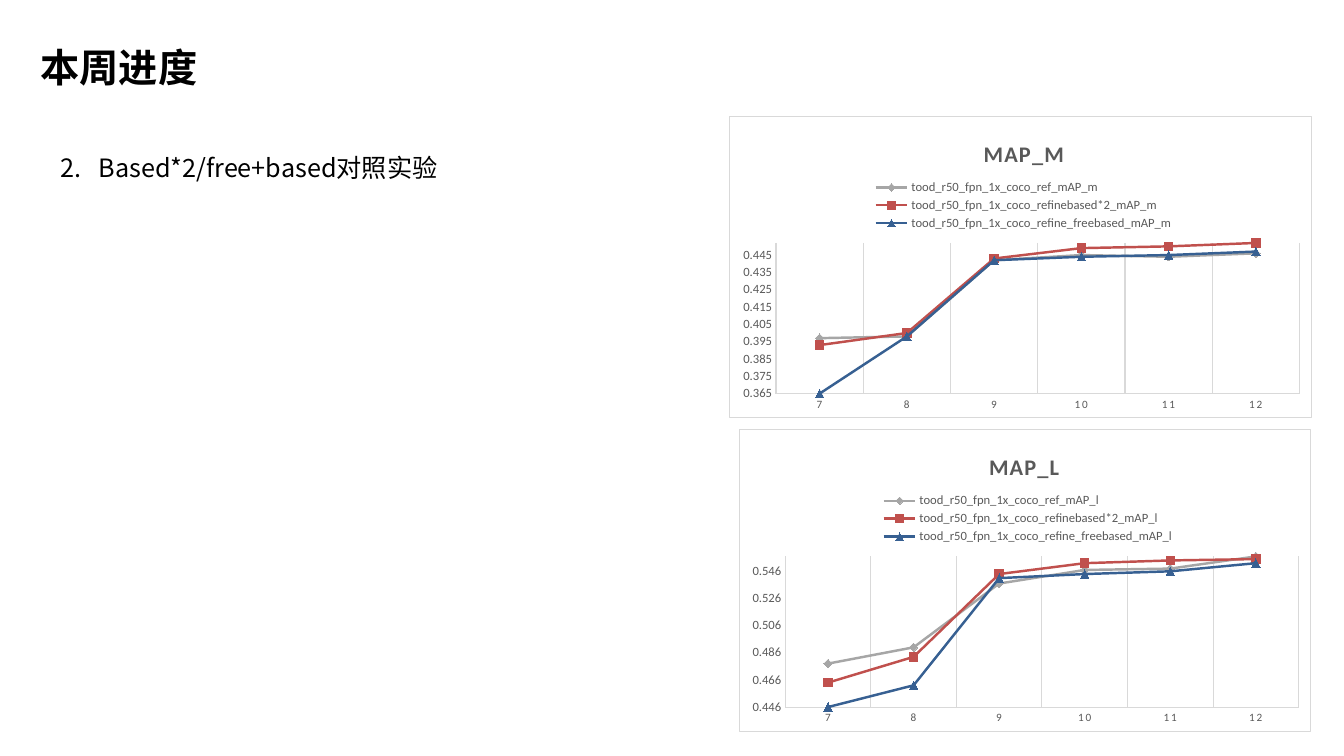
from lxml.etree import SubElement
from pptx import Presentation
from pptx.chart.data import CategoryChartData
from pptx.dml.color import RGBColor
from pptx.enum.chart import XL_CHART_TYPE, XL_LEGEND_POSITION, XL_MARKER_STYLE, XL_TICK_MARK
from pptx.enum.text import MSO_ANCHOR, MSO_AUTO_SIZE, PP_ALIGN
from pptx.oxml import parse_xml
from pptx.oxml.ns import nsdecls, qn
from pptx.util import Inches, Pt

COLORS = {"black": "000000", "label": "595959", "rule": "D9D9D9", "paper": "FFFFFF",
          "gray": "A6A6A6", "red": "C0504D", "blue": "376092"}
TEXT_FONT, CHART_FONT = "Noto Sans CJK SC", "Calibri"

HEADING = "本周进度"
EXPERIMENT = "Based*2/free+based对照实验"
EPOCHS = ["7", "8", "9", "10", "11", "12"]
MODELS = [("ref", "gray", XL_MARKER_STYLE.DIAMOND),
          ("refinebased*2", "red", XL_MARKER_STYLE.SQUARE),
          ("refine_freebased", "blue", XL_MARKER_STYLE.TRIANGLE)]
CHARTS = [
    {"title": "MAP_M", "metric": "mAP_m", "box": (7.23, 1.15, 5.78, 3),
     "scale": (0.365, 0.452, 0.01),
     "values": [(0.397, 0.398, 0.442, 0.445, 0.444, 0.446),
                (0.393, 0.4, 0.443, 0.449, 0.45, 0.452),
                (0.365, 0.398, 0.442, 0.444, 0.445, 0.447)]},
    {"title": "MAP_L", "metric": "mAP_l", "box": (7.33, 4.26, 5.67, 3),
     "scale": (0.446, 0.557, 0.02),
     "values": [(0.478, 0.49, 0.537, 0.547, 0.548, 0.557),
                (0.464, 0.483, 0.544, 0.552, 0.554, 0.555),
                (0.446, 0.462, 0.541, 0.544, 0.546, 0.552)]},
]
# Shares of the chart's width and height, the same in both charts
TITLE_SPOT = {"x": 0.43, "y": 0.06}
LEGEND_SPOT = {"x": 0.24, "y": 0.2, "w": 0.53, "h": 0.19}
PLOT_SPOT = {"x": 0.08, "y": 0.42, "w": 0.9, "h": 0.5}


def color(name):
    """Return a named colour."""
    return RGBColor.from_string(COLORS[name])


def style_font(font, size, name="label", face=CHART_FONT, bold=False):
    """Set size, colour, face and weight of a font."""
    font.size, font.name, font.bold = Pt(size), face, bold
    font.color.rgb = color(name)


def style_line(line, name, width):
    """Give a line a colour and a width in points."""
    line.color.rgb = color(name)
    line.width = Pt(width)


def fill_text(shape, box, text, size, bold=False):
    """Place a shape and set its single paragraph."""
    shape.left, shape.top, shape.width, shape.height = map(Inches, box)
    frame = shape.text_frame
    frame.text = text
    frame.word_wrap = True
    frame.auto_size = MSO_AUTO_SIZE.SHAPE_TO_FIT_TEXT
    frame.vertical_anchor = MSO_ANCHOR.TOP
    para = frame.paragraphs[0]
    para.line_spacing = 1.5
    span = para.runs[0]
    style_font(span.font, size, "black", TEXT_FONT, bold)
    SubElement(span.font._element, qn("a:ea")).set("typeface", TEXT_FONT)
    return para


def number_paragraph(para, start, indent):
    """Number a paragraph with a hanging indent."""
    properties = para._p.get_or_add_pPr()
    properties.set("marL", str(Inches(indent)))
    properties.set("indent", str(-Inches(indent)))
    SubElement(properties, qn("a:buFont")).set("typeface", "+mj-lt")
    bullet = SubElement(properties, qn("a:buAutoNum"))
    bullet.set("type", "arabicPeriod")
    bullet.set("startAt", str(start))


def place_part(part, index, spot):
    """Give a chart part a manual layout as its child at the index."""
    for old in part.findall(qn("c:layout")):
        part.remove(old)
    layout = parse_xml(f"<c:layout {nsdecls('c')}><c:manualLayout/></c:layout>")
    settings = {"xMode": "edge", "yMode": "edge", **spot}
    if index == 0:
        settings = {"layoutTarget": "inner", **settings}
    for tag, value in settings.items():
        SubElement(layout[0], qn(f"c:{tag}")).set("val", str(value))
    part.insert(index, layout)


def frame_chart(chart):
    """Give the chart area a fill and a thin border."""
    area = parse_xml(
        f'<c:spPr {nsdecls("c", "a")}><a:solidFill><a:srgbClr val="{COLORS["paper"]}"/></a:solidFill>'
        f'<a:ln w="{Pt(0.75)}"><a:solidFill><a:srgbClr val="{COLORS["rule"]}"/></a:solidFill></a:ln></c:spPr>')
    chart.element.find(qn("c:chart")).addnext(area)


def style_axis(axis, size):
    """Set an axis to plain labels and a thin line without ticks."""
    axis.major_tick_mark = axis.minor_tick_mark = XL_TICK_MARK.NONE
    style_font(axis.tick_labels.font, size)
    style_line(axis.format.line, "rule", 0.75)


def add_line_chart(page, details):
    """Add one line chart that compares the models by epoch."""
    data = CategoryChartData()
    data.categories = EPOCHS
    for (model, _, _), values in zip(MODELS, details["values"]):
        data.add_series(f"tood_r50_fpn_1x_coco_{model}_{details['metric']}", values)
    chart = page.shapes.add_chart(XL_CHART_TYPE.LINE_MARKERS, *map(Inches, details["box"]), data).chart
    style_font(chart.font, 10, "black")
    frame_chart(chart)

    chart.has_title = True
    chart.chart_title.text_frame.text = details["title"]
    title_font = chart.chart_title.text_frame.paragraphs[0].runs[0].font
    style_font(title_font, 16, bold=True)
    title_font._element.set("spc", "100")
    chart.has_legend = True
    chart.legend.position = XL_LEGEND_POSITION.TOP
    chart.legend.include_in_layout = False
    style_font(chart.legend.font, 9)

    epochs, scores = chart.category_axis, chart.value_axis
    style_axis(epochs, 8)
    epochs.tick_labels.font._element.set("spc", "120")
    epochs.has_major_gridlines = True
    style_line(epochs.major_gridlines.format.line, "rule", 0.75)
    style_axis(scores, 9)
    scores.has_major_gridlines = False
    scores.minimum_scale, scores.maximum_scale, scores.major_unit = details["scale"]
    scores.tick_labels.number_format = "0.000"
    scores.tick_labels.number_format_is_linked = False

    chart.plots[0].vary_by_categories = False
    for series, (_, name, marker) in zip(chart.plots[0].series, MODELS):
        series.smooth = False
        style_line(series.format.line, name, 1.75)
        series.marker.style, series.marker.size = marker, 6
        series.marker.format.fill.solid()
        series.marker.format.fill.fore_color.rgb = color(name)
        style_line(series.marker.format.line, name, 0.75)

    place_part(chart.chart_title.element, 1, TITLE_SPOT)
    place_part(chart.legend._element, 1, LEGEND_SPOT)
    place_part(chart.element.find(".//" + qn("c:plotArea")), 0, PLOT_SPOT)


def build():
    """Build and save the slide."""
    deck = Presentation()
    deck.slide_width, deck.slide_height = Inches(13.33), Inches(7.5)
    page = deck.slides.add_slide(deck.slide_layouts[5])
    heading = fill_text(page.shapes.title, (0.29, 0.15, 1.78, 0.72), HEADING, 28, True)
    heading.alignment = PP_ALIGN.CENTER
    box = page.shapes.add_textbox(0, 0, 0, 0)
    number_paragraph(fill_text(box, (0.5, 1.31, 12.33, 0.97), EXPERIMENT, 18), 2, 0.38)
    for details in CHARTS:
        add_line_chart(page, details)
    deck.save("out.pptx")


build()
